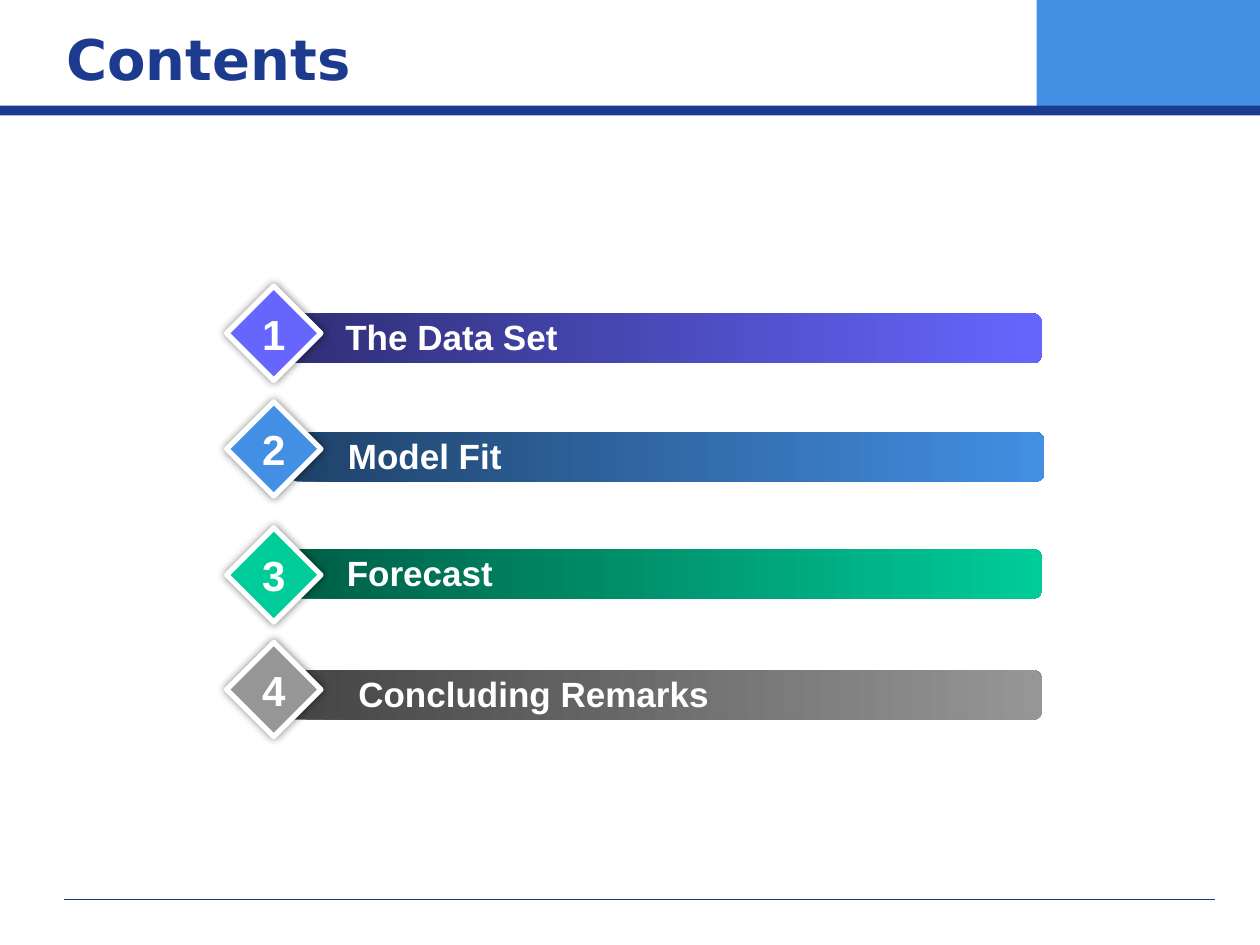
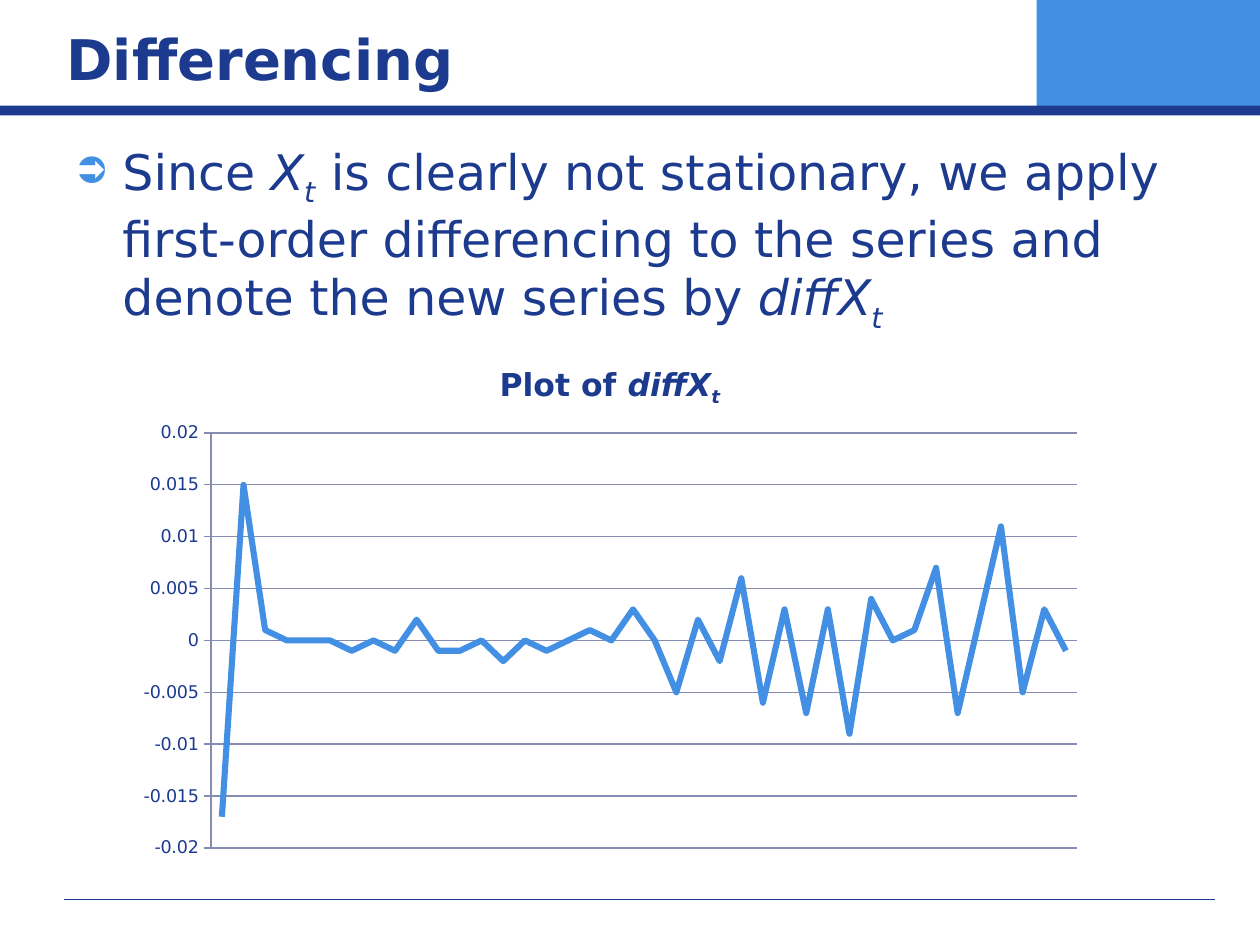
from lxml import etree
from pptx import Presentation
from pptx.chart import data
from pptx.dml.color import RGBColor
from pptx.enum import chart as ch, shapes, text
from pptx.oxml import parse_xml
from pptx.oxml.ns import nsdecls, qn
from pptx.util import Cm, Pt

COLORS = {
    "navy": "1C3A8E", "blue": "438FE3", "white": "FFFFFF", "grid": "868BB2",
    "violet": "6666FF", "green": "00CC99", "gray": "969696",
    "violet_dark": "2F2F76", "blue_dark": "1F4269",
    "green_dark": "005E46", "gray_dark": "454545",
}
BODY_FONT, LABEL_FONT = "DejaVu Sans", "Arial"

# label, colour, bar left, bar top, diamond top, label offset from the bar
CONTENTS = [
    ("The Data Set", "violet", 5.79, 6.32, 5.77, 0.86),
    ("Model Fit", "blue", 5.84, 8.71, 8.1, 0.86),
    ("Forecast", "green", 5.79, 11.07, 10.64, 0.89),
    ("Concluding Remarks", "gray", 5.79, 13.51, 12.95, 1.12),
]
DIFFERENCES = [
    -0.017, 0.015, 0.001, 0, 0, 0, -0.001, 0, -0.001, 0.002,
    -0.001, -0.001, 0, -0.002, 0, -0.001, 0, 0.001, 0, 0.003,
    0, -0.005, 0.002, -0.002, 0.006, -0.006, 0.003, -0.007, 0.003, -0.009,
    0.004, 0, 0.001, 0.007, -0.007, 0.002, 0.011, -0.005, 0.003, -0.001,
]


def rgb(name):
    return RGBColor.from_string(COLORS[name])


def style_font(font, size, color, name=BODY_FONT, bold=False):
    font.size, font.name, font.bold = Pt(size), name, bold
    font.color.rgb = rgb(color)


def add_runs(p, pieces, size, bold=False):
    """Add (text, style) pieces; style holds i for italic, s for subscript."""
    for words, style in pieces:
        r = p.add_run()
        r.text = words
        style_font(r.font, size, "navy", bold=bold)
        r.font.italic = "i" in style
        if "s" in style:
            r.font._element.set("baseline", "-25000")


def add_shape(slide, kind, box, fill=None):
    sp = slide.shapes.add_shape(kind, *map(Cm, box))
    sp.shadow.inherit = False
    sp.line.fill.background()
    if fill:
        sp.fill.solid()
        sp.fill.fore_color.rgb = rgb(fill)
    else:
        sp.fill.background()
    return sp


def set_label(sp, words, size, align):
    tf = sp.text_frame
    tf.word_wrap = False
    tf.vertical_anchor = text.MSO_ANCHOR.MIDDLE
    tf.text = words
    p = tf.paragraphs[0]
    p.alignment = align
    style_font(p.runs[0].font, size, "white", LABEL_FONT, True)


def add_textbox(slide, box, anchor):
    tf = slide.shapes.add_textbox(*map(Cm, box)).text_frame
    tf.word_wrap = True
    tf.vertical_anchor = anchor
    return tf


def add_frame(slide, title):
    """Corner block, footer rule, title band and title of every slide."""
    rect = shapes.MSO_SHAPE.RECTANGLE
    add_shape(slide, rect, (20.9, 0, 4.5, 2.18), "blue")
    rule = slide.shapes.add_connector(
        shapes.MSO_CONNECTOR.STRAIGHT, Cm(1.3), Cm(18.13), Cm(24.5), Cm(18.13))
    rule.line.color.rgb = rgb("navy")
    rule.line.width = Pt(0.75)
    etree.SubElement(rule._element.spPr, qn("a:effectLst"))
    add_shape(slide, rect, (0, 2.13, 25.4, 0.2), "navy")
    tf = add_textbox(slide, (1.09, 0.33, 20, 1.7), text.MSO_ANCHOR.MIDDLE)
    add_runs(tf.paragraphs[0], [(title, "")], 32, bold=True)


def add_bar(slide, left, top, color):
    bar = add_shape(slide, shapes.MSO_SHAPE.ROUNDED_RECTANGLE,
                    (left, top, 15.21, 1))
    bar.fill.gradient()
    bar.fill.gradient_angle = 0
    stops = bar.fill.gradient_stops
    for stop, position, name in zip(stops, (0, 1), (color + "_dark", color)):
        stop.position = position
        stop.color.rgb = rgb(name)


def add_number(slide, top, number, color):
    diamond = add_shape(slide, shapes.MSO_SHAPE.DIAMOND,
                        (4.57, top, 1.9, 1.9), color)
    diamond.line.color.rgb = rgb("white")
    diamond.line.width = Pt(3)
    effects = diamond._element.spPr.find(qn("a:effectLst"))
    effects.append(parse_xml(
        f'<a:outerShdw {nsdecls("a")} blurRad="63500" dist="0" dir="0">'
        '<a:srgbClr val="000000"><a:alpha val="50000"/></a:srgbClr>'
        '</a:outerShdw>'))
    set_label(diamond, str(number), 24, text.PP_ALIGN.CENTER)


def contents_slide(slide):
    add_frame(slide, "Contents")
    for _, color, left, top, _, _ in CONTENTS:
        add_bar(slide, left, top, color)
    for label, _, left, top, _, offset in CONTENTS:
        sp = add_shape(slide, shapes.MSO_SHAPE.ROUNDED_RECTANGLE,
                       (left + offset, top - 0.18, 14.15, 1.3))
        set_label(sp, label, 20, text.PP_ALIGN.LEFT)
    for number, (_, color, _, _, top, _) in enumerate(CONTENTS, 1):
        add_number(slide, top, number, color)


def add_bullet(p):
    pPr = p._p.get_or_add_pPr()
    pPr.set("marL", str(Cm(0.95)))
    pPr.set("indent", str(Cm(-0.95)))
    for xml in (
        f'<a:buClr {nsdecls("a")}><a:srgbClr val="{COLORS["blue"]}"/></a:buClr>',
        f'<a:buSzPct {nsdecls("a")} val="75000"/>',
        f'<a:buChar {nsdecls("a")} char="➲"/>',
    ):
        pPr.append(parse_xml(xml))


def set_plot_area(chart, x, y, w, h):
    """Fix the inner plot area, given as fractions of the chart."""
    area = chart._chartSpace.chart.plotArea
    for old in area.findall(qn("c:layout")):
        area.remove(old)
    area.insert(0, parse_xml(
        f'<c:layout {nsdecls("c")}><c:manualLayout>'
        '<c:layoutTarget val="inner"/>'
        '<c:xMode val="edge"/><c:yMode val="edge"/>'
        f'<c:x val="{x}"/><c:y val="{y}"/><c:w val="{w}"/><c:h val="{h}"/>'
        '</c:manualLayout></c:layout>'))


def add_difference_chart(slide, box):
    chart_data = data.CategoryChartData()
    chart_data.categories = [str(n + 1) for n in range(len(DIFFERENCES))]
    chart_data.add_series("Series 1", DIFFERENCES)
    chart = slide.shapes.add_chart(
        ch.XL_CHART_TYPE.LINE, *map(Cm, box), chart_data).chart
    style_font(chart.font, 10, "navy")
    chart.has_legend = False
    chart.has_title = True
    add_runs(chart.chart_title.text_frame.paragraphs[0],
             [("Plot of ", ""), ("diffX", "i"), ("t", "is")], 18, bold=True)
    chart.chart_title.include_in_layout = False
    set_plot_area(chart, 0.09, 0.17, 0.89, 0.79)

    chart.category_axis.visible = False
    axis = chart.value_axis
    axis.minimum_scale, axis.maximum_scale = -0.02, 0.02
    axis.major_unit = 0.005
    axis.major_tick_mark = ch.XL_TICK_MARK.OUTSIDE
    axis.has_major_gridlines = True
    axis.tick_labels.number_format = "General"
    axis.tick_labels.number_format_is_linked = False
    for line in (axis.format.line, axis.major_gridlines.format.line):
        line.color.rgb = rgb("grid")
        line.width = Pt(0.75)

    chart.plots[0].vary_by_categories = False
    series = chart.plots[0].series[0]
    series.smooth = False
    series.format.line.color.rgb = rgb("blue")
    series.format.line.width = Pt(3.5)


def differencing_slide(slide):
    add_frame(slide, "Differencing")
    tf = add_textbox(slide, (1.27, 2.72, 22.86, 14.83), text.MSO_ANCHOR.TOP)
    p = tf.paragraphs[0]
    add_bullet(p)
    add_runs(p, [
        ("Since ", ""), ("X", "i"), ("t", "is"),
        (" is clearly not stationary, we apply first-order differencing "
         "to the series and denote the new series by ", ""),
        ("diffX", "i"), ("t", "is"),
    ], 28)
    add_difference_chart(slide, (2.49, 6.93, 19.61, 10.59))


def main():
    prs = Presentation()
    prs.slide_width, prs.slide_height = Cm(25.4), Cm(19.05)
    for build in (contents_slide, differencing_slide):
        build(prs.slides.add_slide(prs.slide_layouts[6]))
    prs.save("out.pptx")


if __name__ == "__main__":
    main()
